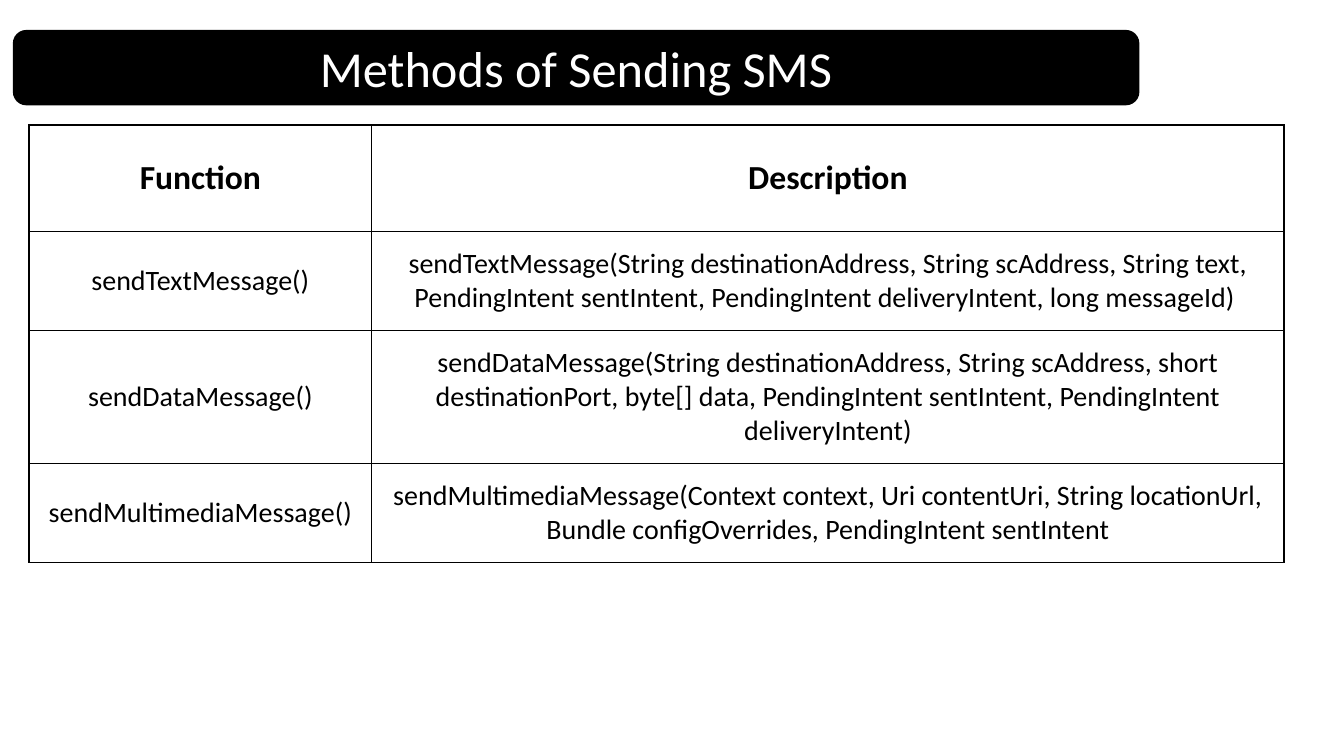
import pptx
import pptx.dml.color
import pptx.enum.shapes
import pptx.enum.text
import pptx.oxml
import pptx.util
from pptx.util import Cm

BLACK, WHITE = "000000", "FFFFFF"
NS = "http://schemas.openxmlformats.org/drawingml/2006/main"


def rgb(value):
    return pptx.dml.color.RGBColor.from_string(value)


def write(frame, text, size, colour, bold=False):
    """Put one centred Calibri paragraph into a text frame."""
    paragraph = frame.paragraphs[0]
    paragraph.alignment = pptx.enum.text.PP_ALIGN.CENTER
    run = paragraph.add_run()
    run.text = text
    look = {"name": "Calibri", "size": pptx.util.Pt(size), "bold": bold}
    for key, value in look.items():
        setattr(run.font, key, value)
    run.font.color.rgb = rgb(colour)


deck = pptx.Presentation()
deck.slide_width, deck.slide_height = Cm(33.87), Cm(19.05)
slide = deck.slides.add_slide(deck.slide_layouts[6])

# Title banner
banner = slide.shapes.add_shape(
    pptx.enum.shapes.MSO_SHAPE.ROUNDED_RECTANGLE,
    Cm(0.36), Cm(0.79), Cm(28.32), Cm(1.83))
banner.shadow.inherit = False
banner.fill.solid()
banner.fill.fore_color.rgb = rgb(BLACK)
banner.line.color.rgb = rgb(BLACK)
banner.line.width = pptx.util.Pt(2)
banner.text_frame.vertical_anchor = pptx.enum.text.MSO_ANCHOR.MIDDLE
write(banner.text_frame, "Methods of Sending SMS", 36, WHITE)

# Table of sending functions; non-breaking spaces hold some arguments together
methods = [
    ("Function", "Description"),
    ("sendTextMessage()",
     "sendTextMessage(String destinationAddress, String scAddress, String text, "
     "PendingIntent sentIntent, PendingIntent deliveryIntent, long messageId) "),
    ("sendDataMessage()",
     "sendDataMessage(String destinationAddress, String scAddress, short "
     "destinationPort, byte[] data, PendingIntent sentIntent, "
     "PendingIntent deliveryIntent)"),
    ("sendMultimediaMessage()",
     "sendMultimediaMessage(Context context, Uri contentUri, String "
     "locationUrl, Bundle configOverrides, PendingIntent sentIntent"),
]
column_widths = [8.64, 22.99]
row_heights = [2.69, 2.4, 3.3, 2.4]

table = slide.shapes.add_table(
    len(methods), len(column_widths), Cm(0.73), Cm(3.15),
    Cm(sum(column_widths)), Cm(sum(row_heights))).table
table.horz_banding = False
for column, width in zip(table.columns, column_widths):
    column.width = Cm(width)

for row_index, (row, height, texts) in enumerate(
        zip(table.rows, row_heights, methods)):
    row.height = Cm(height)
    header = row_index == 0
    for column_index, (cell, text) in enumerate(zip(row.cells, texts)):
        side = Cm(0.1 if header and column_index == 0 else 0.25)
        edge = Cm(0.25 if header else 0.38)
        layout = {
            "margin_left": side, "margin_right": side,
            "margin_top": edge, "margin_bottom": edge,
            "vertical_anchor": pptx.enum.text.MSO_ANCHOR.MIDDLE,
        }
        for key, value in layout.items():
            setattr(cell, key, value)
        write(cell.text_frame, text, 24 if header else 20, BLACK, header)
        properties = cell._tc.get_or_add_tcPr()
        for border in ("lnL", "lnR", "lnT", "lnB"):
            properties.append(pptx.oxml.parse_xml(
                f'<a:{border} xmlns:a="{NS}" w="{pptx.util.Pt(1)}"><a:solidFill>'
                f'<a:srgbClr val="{BLACK}"/></a:solidFill></a:{border}>'))
        cell.fill.background()

deck.save("out.pptx")
